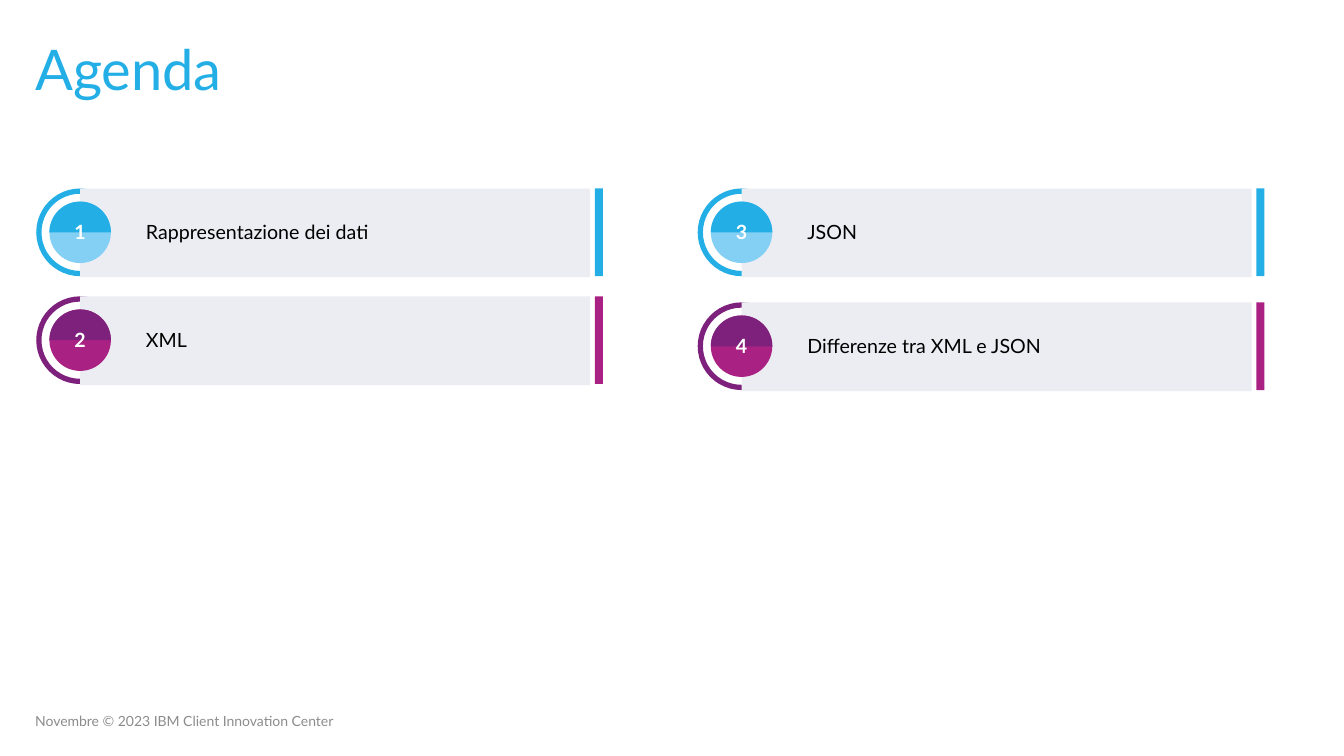
import math
from pptx import Presentation, util as u
from pptx.dml.color import RGBColor
from pptx.enum import shapes, text

COLORS = {
    "blue": "23AFE6", "sky": "84D0F4", "purple": "7E217D", "magenta": "A92183",
    "panel": "ECEDF3", "white": "FFFFFF", "black": "000000", "gray": "8C8C8C",
}
THEMES = {
    "blue": {"ring": "blue", "disc": "sky", "bar": "blue"},
    "purple": {"ring": "purple", "disc": "magenta", "bar": "magenta"},
}
TOPICS = [
    ("1", "Rappresentazione dei dati", 0.36, 1.87, "blue"),
    ("2", "XML", 0.36, 2.94, "purple"),
    ("3", "JSON", 6.92, 1.87, "blue"),
    ("4", "Differenze tra XML e JSON", 6.92, 3.0, "purple"),
]
RING = 0.87
DISC = 0.61


class AgendaSlide:
    font = "Lato"

    def __init__(self, slide):
        self.slide = slide

    def paint(self, shape, color):
        shape.shadow.inherit = False
        shape.fill.solid()
        shape.fill.fore_color.rgb = RGBColor.from_string(COLORS[color])
        shape.line.fill.background()

    def add_words(self, frame, words, size, color, bold=False,
                  align=text.PP_ALIGN.LEFT, anchor=text.MSO_ANCHOR.MIDDLE):
        frame.word_wrap = True
        frame.auto_size = text.MSO_AUTO_SIZE.NONE
        frame.vertical_anchor = anchor
        paragraph = frame.paragraphs[0]
        paragraph.alignment = align
        run = paragraph.add_run()
        run.text = words
        run.font.name = self.font
        run.font.size = u.Pt(size)
        run.font.bold = bold
        run.font.color.rgb = RGBColor.from_string(COLORS[color])
        return paragraph

    def title(self, words, *box):
        heading = self.slide.shapes.title
        heading.left, heading.top, heading.width, heading.height = map(u.Inches, box)
        self.add_words(heading.text_frame, words, 40, "blue").line_spacing = 0.9

    def label(self, words, box, size, color, **style):
        label = self.slide.shapes.add_textbox(*map(u.Inches, box))
        self.add_words(label.text_frame, words, size, color, **style)

    def shape(self, kind, box, color):
        shape = self.slide.shapes.add_shape(kind, *map(u.Inches, box))
        self.paint(shape, color)
        return shape

    def half_disc(self, center_x, center_y, radius, color):
        arc = [
            (u.Inches(center_x - radius * math.cos(math.radians(angle))),
             u.Inches(center_y - radius * math.sin(math.radians(angle))))
            for angle in range(0, 181, 3)
        ]
        builder = self.slide.shapes.build_freeform(*arc[0])
        builder.add_line_segments(arc[1:], close=True)
        self.paint(builder.convert_to_shape(), color)

    def topic(self, number, words, left, top, theme):
        colors = THEMES[theme]
        center_x, center_y = left + RING / 2, top + RING / 2
        disc_left, disc_top = center_x - DISC / 2, center_y - DISC / 2
        kinds = shapes.MSO_SHAPE
        ring = self.shape(kinds.DONUT, (left, top, RING, RING), colors["ring"])
        ring.adjustments[0] = 0.06
        self.shape(kinds.RECTANGLE, (center_x, top, 5.06, 0.88), "panel")
        self.shape(kinds.RECTANGLE, (left + 5.54, top, 0.08, RING), colors["bar"])
        self.shape(kinds.OVAL, (disc_left, disc_top, DISC, DISC), colors["disc"])
        self.half_disc(center_x, center_y, DISC / 2, colors["ring"])
        self.label(number, (center_x - 0.255, top + 0.21, 0.51, 0.44), 14, "white",
                   bold=True, align=text.PP_ALIGN.CENTER)
        self.label(words, (left + 0.99, top + 0.26, 4.5, 0.34), 14, "black",
                   anchor=text.MSO_ANCHOR.TOP)


def main():
    deck = Presentation()
    deck.slide_width = u.Inches(13.33)
    deck.slide_height = u.Inches(7.5)
    agenda = AgendaSlide(deck.slides.add_slide(deck.slide_layouts[5]))
    agenda.title("Agenda", 0.25, 0.37, 4.55, 0.7)
    agenda.label("Novembre © 2023 IBM Client Innovation Center",
                 (0.25, 6.95, 6.42, 0.4), 10, "gray")
    for topic in TOPICS:
        agenda.topic(*topic)
    deck.save("out.pptx")


if __name__ == "__main__":
    main()
